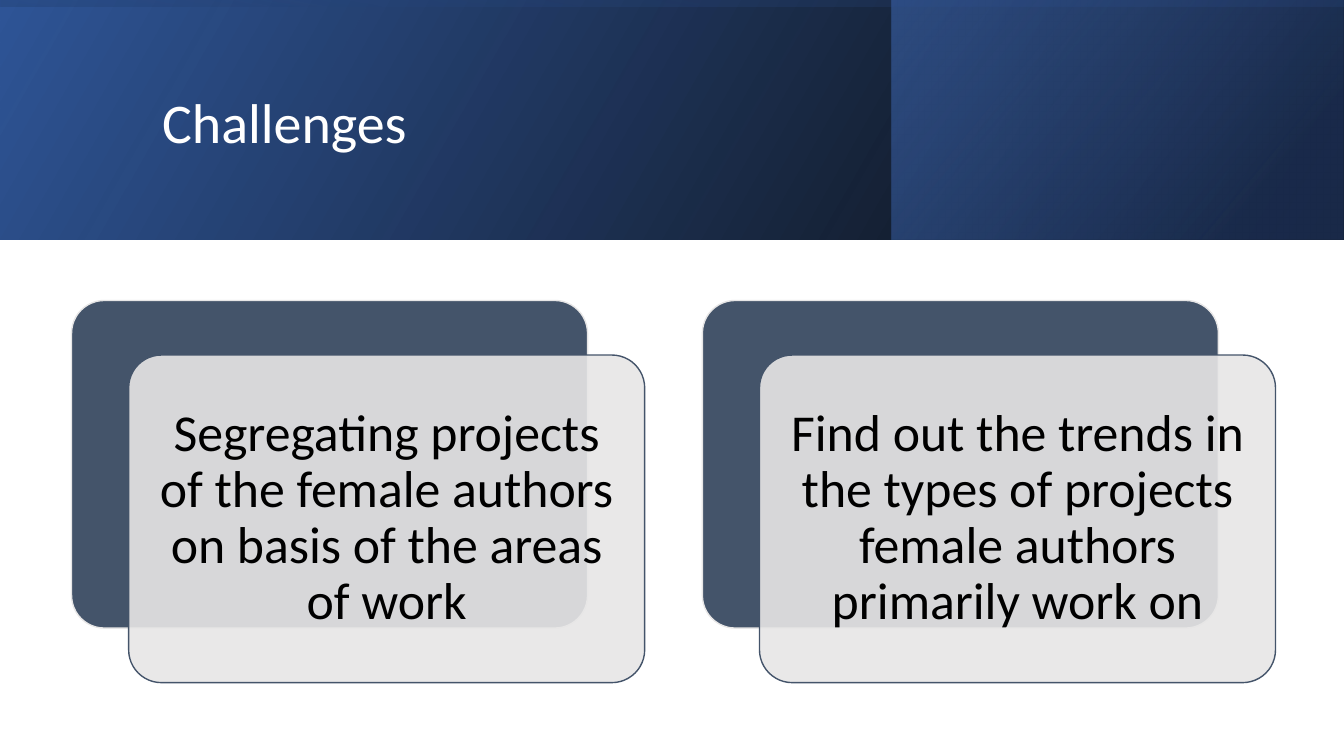
from lxml.etree import SubElement as Sub
from pptx import Presentation
from pptx.dml.color import RGBColor as RGB
from pptx.enum.shapes import MSO_SHAPE as Shape
from pptx.enum.text import MSO_ANCHOR as Anchor, PP_ALIGN as Align
from pptx.oxml.ns import qn
from pptx.util import Pt

# Content
TITLE = "Challenges"
CARDS = [
    "Segregating projects of the female authors on basis of the areas of work",
    "Find out the trends in the types of projects female authors primarily work on",
]
HEX = {
    "black": "000000", "white": "FFFFFF", "blue": "2F5597", "navy": "203864",
    "sky": "4472C4", "slate": "44546A", "pale": "E7E6E6",
}

# Layout, in points
WIDE, HIGH = 960, 540
BAND = 170.8                       # height of the header
SIDE = 636.8                       # left edge of the right panel
LEFT, TOP, STEP = 51.1, 214.6, 450.6
CARD_W, CARD_H = 368.6, 234
SHIFT_X, SHIFT_Y, INSET = 40.8, 39, 6.9

# Header panels: box, turn, angle, stops of (place, colour, opacity)
PANELS = [
    ((0, 0, WIDE, BAND), 0, 330, [(0, "black", 96), (100, "blue", 100)]),
    ((SIDE, 0, WIDE - SIDE, BAND), 0, 320, [(19, "navy", 68), (100, "sky", 48)]),
    (((WIDE - BAND) / 2, (BAND - WIDE) / 2, BAND, WIDE), 270, 350,
     [(23, "blue", 16), (99, "black", 45)]),
]

# Formats
TITLE_FONT = {"size": Pt(40), "name": "Calibri"}
CARD_FONT = {"size": Pt(37), "name": "Calibri"}
MIDDLE = {"word_wrap": True, "vertical_anchor": Anchor.MIDDLE}
MARGINS = {"margin_" + side: Pt(10.8) for side in ("left", "top", "right", "bottom")}


def color(name):
    return RGB.from_string(HEX[name])


def apply(item, values):
    for key, value in values.items():
        setattr(item, key, value)


def fade(shape, levels):
    for tint, level in zip(shape.element.spPr.iter(qn("a:srgbClr")), levels):
        if level < 100:
            Sub(tint, qn("a:alpha"), val=str(level * 1000))


def add_box(slide, kind, box):
    shape = slide.shapes.add_shape(kind, *map(Pt, box))
    shape.shadow.inherit = False
    return shape


def add_panel(slide, box, turn, angle, stops):
    panel = add_box(slide, Shape.RECTANGLE, box)
    panel.line.fill.background()
    panel.rotation = turn
    panel.element.spPr.xfrm.set("flipH", "1")
    panel.fill.gradient()
    panel.fill.gradient_angle = 360 - angle
    for stop, (place, name, level) in zip(panel.fill.gradient_stops, stops):
        stop.position = place / 100
        stop.color.rgb = color(name)
    fade(panel, [level for place, name, level in stops])


def add_plate(slide, box, fill, edge, level):
    plate = add_box(slide, Shape.ROUNDED_RECTANGLE, box)
    plate.adjustments[0] = 0.1
    plate.fill.solid()
    plate.fill.fore_color.rgb = color(fill)
    fade(plate, [level])
    plate.line.color.rgb = color(edge)
    plate.line.width = Pt(1)


def add_text(slide, box, text, font, tint, frame):
    body = slide.shapes.add_textbox(*map(Pt, box)).text_frame
    apply(body, frame)
    para = body.paragraphs[0]
    para.line_spacing = 0.9
    run = para.add_run()
    run.text = text
    apply(run.font, font)
    run.font.color.rgb = color(tint)
    return para


def main():
    deck = Presentation()
    deck.slide_width, deck.slide_height = Pt(WIDE), Pt(HIGH)
    slide = deck.slides.add_slide(deck.slide_layouts[6])

    # Header and title
    for panel in PANELS:
        add_panel(slide, *panel)
    add_text(slide, (108.7, 27.4, 765.4, 123.8), TITLE, TITLE_FONT, "white", MIDDLE)

    # Cards: a dark plate, a pale plate set off from it, and the text
    for i, text in enumerate(CARDS):
        x = LEFT + i * STEP
        front_x, front_y = x + SHIFT_X, TOP + SHIFT_Y
        add_plate(slide, (x, TOP, CARD_W, CARD_H), "slate", "pale", 100)
        add_plate(slide, (front_x, front_y, CARD_W, CARD_H), "pale", "slate", 90)
        inner = (front_x + INSET, front_y + INSET,
                 CARD_W - 2 * INSET, CARD_H - 2 * INSET)
        para = add_text(slide, inner, text, CARD_FONT, "black", MIDDLE | MARGINS)
        para.alignment = Align.CENTER

    deck.save("out.pptx")


if __name__ == "__main__":
    main()
